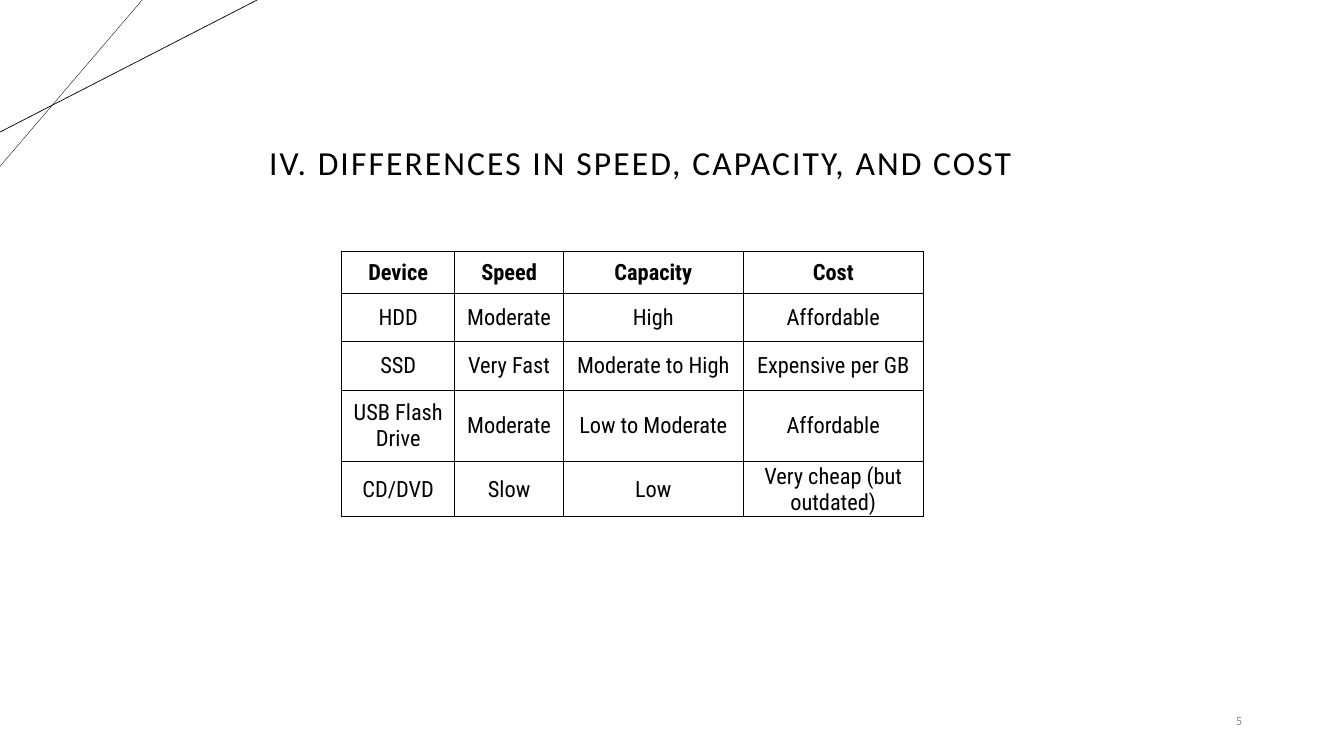
from lxml import etree
from pptx import Presentation
from pptx.dml.color import RGBColor
from pptx.enum import shapes, text
from pptx.oxml.ns import qn
from pptx.util import Inches, Pt

TITLE = "IV. DIFFERENCES IN SPEED, CAPACITY, AND COST"
PAGE_NUMBER = "5"
DEVICES = [
    ("Device", "Speed", "Capacity", "Cost"),
    ("HDD", "Moderate", "High", "Affordable"),
    ("SSD", "Very Fast", "Moderate to High", "Expensive per GB"),
    ("USB Flash Drive", "Moderate", "Low to Moderate", "Affordable"),
    ("CD/DVD", "Slow", "Low", "Very cheap (but outdated)"),
]
COLORS = {"ink": "000000", "number": "8C8C8C"}
# The comparison sits inside a wider grid whose outer cells stay blank.
COLUMN_WIDTHS = [1.16, 1.12, 1.08, 1.78, 1.79, 1.16]
ROW_HEIGHTS = [0.42, 0.42, 0.48, 0.48, 0.71, 0.52] + [0.42] * 4
CORNER_LINES = [((1.41, 0), (0, 1.65), 0.25), ((2.55, 0), (0, 1.31), 0.5)]
SIDES = {"a:lnL": (0, -1), "a:lnR": (0, 1), "a:lnT": (-1, 0), "a:lnB": (1, 0)}


def add_span(para, words, font, size, color, bold=False):
    span = para.add_run()
    span.text = words
    span.font.name = font
    span.font.size = Pt(size)
    span.font.bold = bold
    span.font.color.rgb = RGBColor.from_string(COLORS[color])
    return span


def is_filled(row, column):
    return 1 <= row <= len(DEVICES) and 1 <= column <= len(DEVICES[0])


def set_borders(cell, row, column):
    """Draw each side that touches a filled cell; clear the others."""
    properties = cell._tc.get_or_add_tcPr()
    for tag, (down, right) in SIDES.items():
        border = etree.SubElement(properties, qn(tag), w=str(Pt(0.5)))
        if is_filled(row, column) or is_filled(row + down, column + right):
            fill = etree.SubElement(border, qn("a:solidFill"))
            etree.SubElement(fill, qn("a:srgbClr"), val=COLORS["ink"])
        else:
            etree.SubElement(border, qn("a:noFill"))


def add_corner_lines(page):
    for start, end, width in CORNER_LINES:
        line = page.shapes.add_connector(
            shapes.MSO_CONNECTOR.STRAIGHT, *map(Inches, start + end))
        line.line.color.rgb = RGBColor.from_string(COLORS["ink"])
        line.line.width = Pt(width)
        etree.SubElement(line._element.spPr, qn("a:effectLst"))


def add_title(page):
    title = page.shapes.title
    title.left, title.top, title.width, title.height = map(Inches, (2.57, 0.58, 8.2, 2.1))
    frame = title.text_frame
    frame.word_wrap = True
    frame.auto_size = text.MSO_AUTO_SIZE.NONE
    frame.vertical_anchor = text.MSO_ANCHOR.MIDDLE
    para = frame.paragraphs[0]
    para.alignment = text.PP_ALIGN.LEFT
    para.line_spacing = 0.9
    span = add_span(para, TITLE, "Calibri", 24, "ink")
    span.font._element.set("spc", "150")


def add_page_number(page):
    box = page.shapes.add_textbox(*map(Inches, (11.34, 6.95, 1.08, 0.4)))
    box.text_frame.word_wrap = True
    box.text_frame.vertical_anchor = text.MSO_ANCHOR.MIDDLE
    para = box.text_frame.paragraphs[0]
    para.alignment = text.PP_ALIGN.RIGHT
    para.space_after = Pt(6)
    add_span(para, PAGE_NUMBER, "Calibri", 9, "number")


def add_device_table(page):
    table = page.shapes.add_table(
        len(ROW_HEIGHTS), len(COLUMN_WIDTHS), Inches(2.23), Inches(2.07),
        Inches(sum(COLUMN_WIDTHS)), Inches(sum(ROW_HEIGHTS))).table
    table.first_row = table.horz_banding = False
    for column, width in zip(table.columns, COLUMN_WIDTHS):
        column.width = Inches(width)
    for r, height in enumerate(ROW_HEIGHTS):
        table.rows[r].height = Inches(height)
        for c in range(len(COLUMN_WIDTHS)):
            cell = table.cell(r, c)
            set_borders(cell, r, c)
            cell.fill.background()
            if not is_filled(r, c):
                continue
            cell.margin_left = cell.margin_right = cell.margin_top = Inches(0.01)
            cell.margin_bottom = 0
            cell.vertical_anchor = text.MSO_ANCHOR.MIDDLE
            para = cell.text_frame.paragraphs[0]
            para.alignment = text.PP_ALIGN.CENTER
            add_span(para, DEVICES[r - 1][c - 1], "Roboto Condensed", 16, "ink", bold=r == 1)


def main():
    deck = Presentation()
    deck.slide_width, deck.slide_height = Inches(13.33), Inches(7.5)
    page = deck.slides.add_slide(deck.slide_layouts[5])
    add_corner_lines(page)
    add_title(page)
    add_page_number(page)
    add_device_table(page)
    deck.save("out.pptx")


if __name__ == "__main__":
    main()
